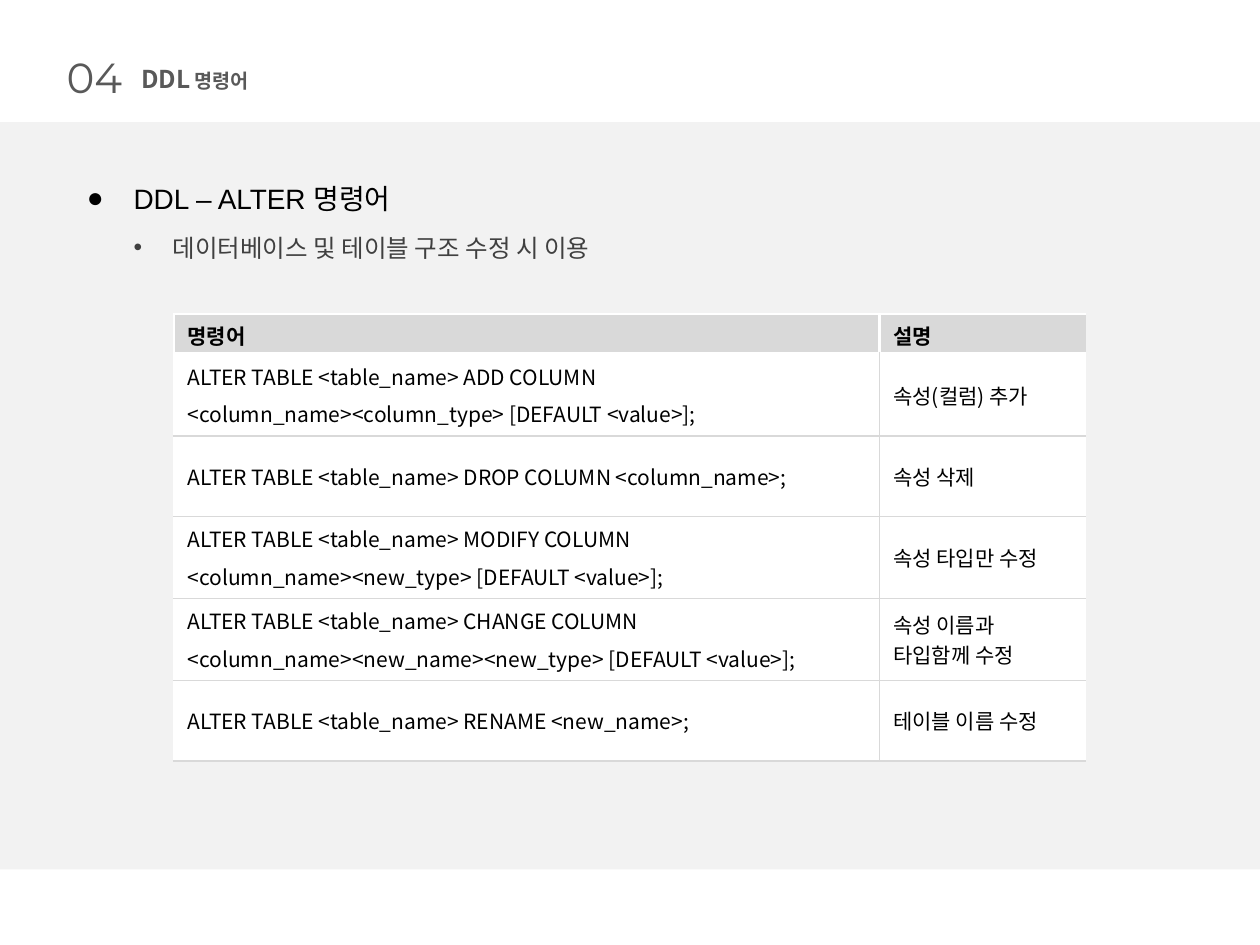
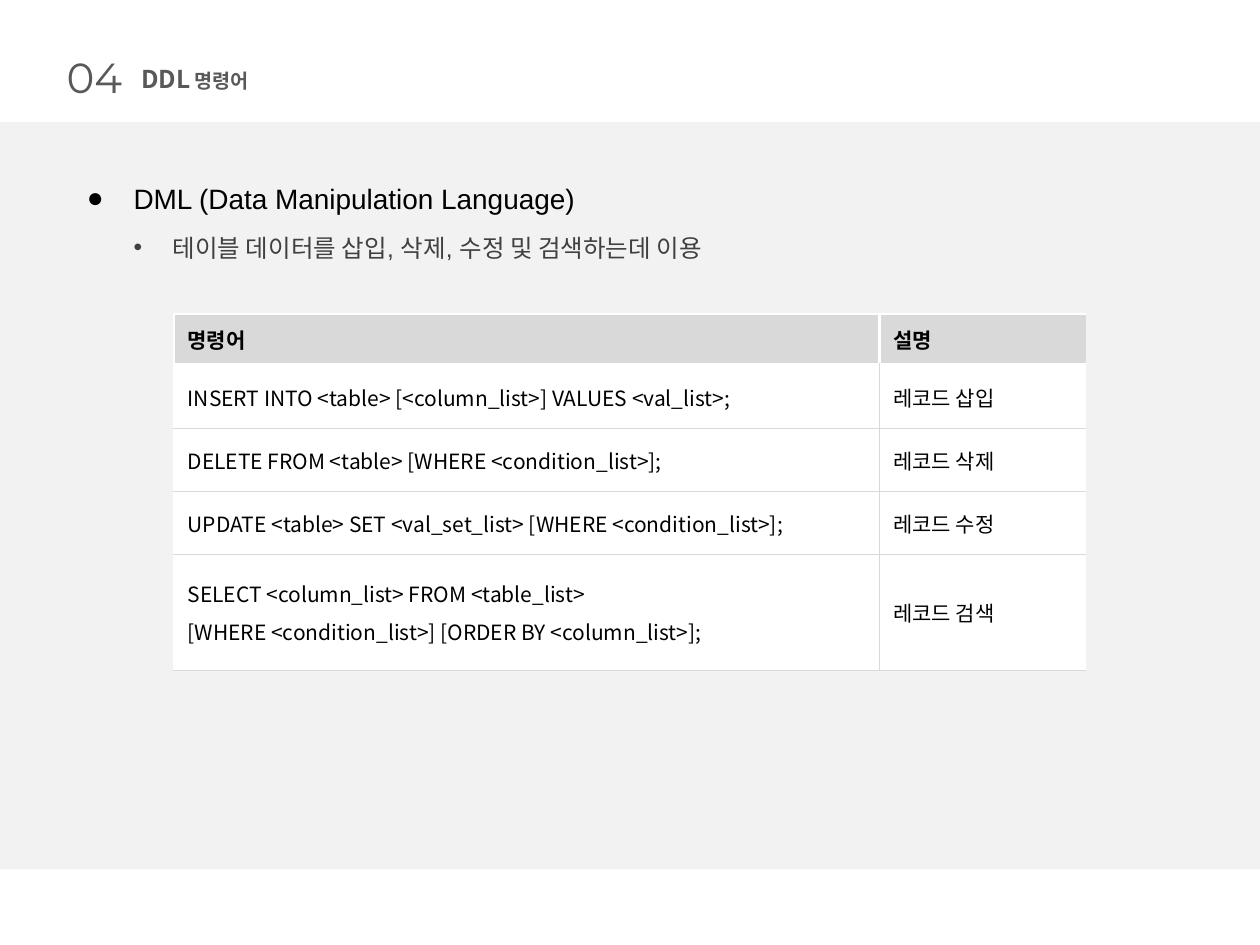
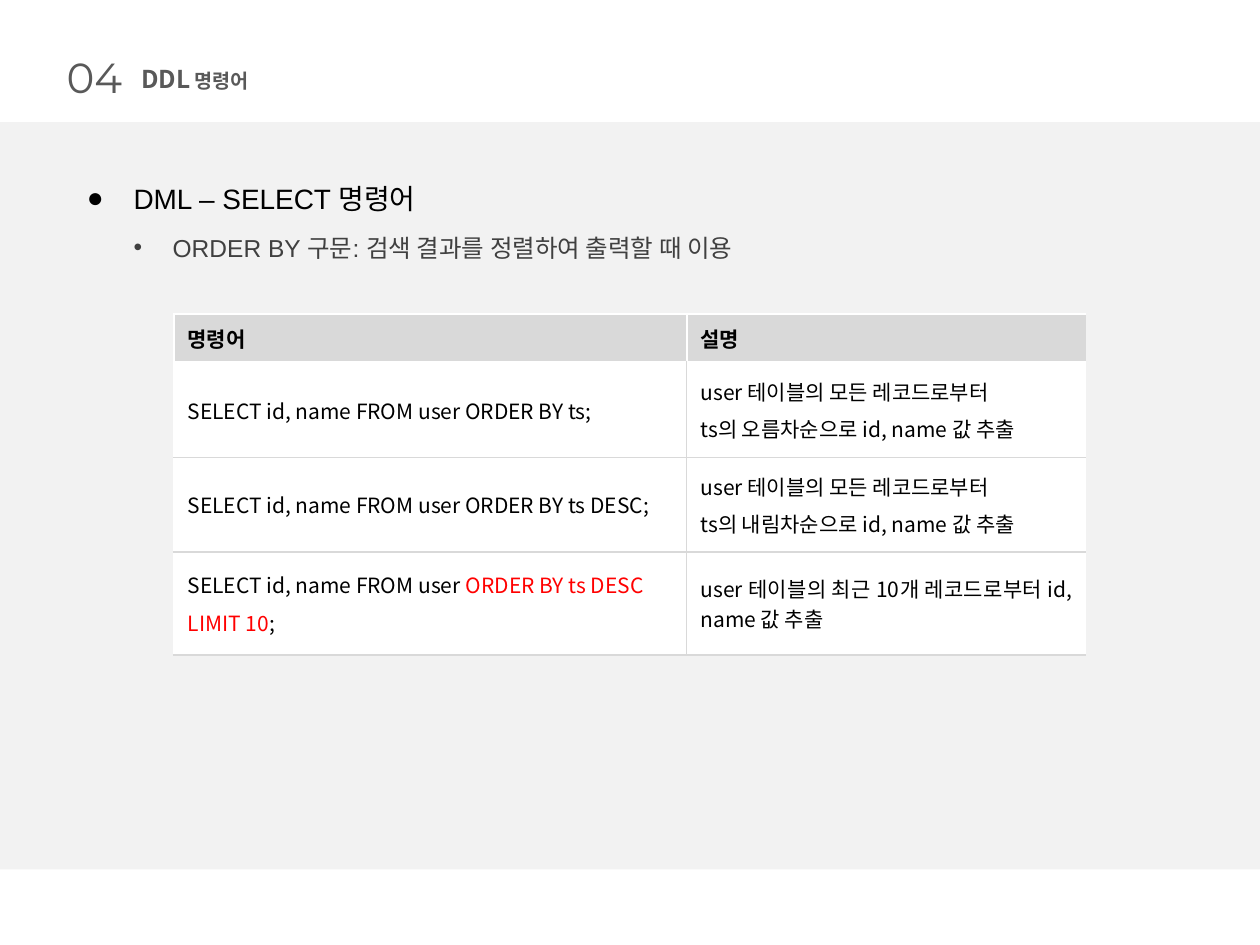
from lxml.etree import SubElement
from pptx import Presentation
from pptx.dml.color import RGBColor
from pptx.enum.shapes import MSO_SHAPE
from pptx.enum.text import MSO_ANCHOR, MSO_AUTO_SIZE, PP_ALIGN
from pptx.oxml.ns import qn
from pptx.util import Inches, Pt

# Shared look
WHITE = RGBColor(0xFF, 0xFF, 0xFF)
BLACK = RGBColor(0x00, 0x00, 0x00)
BAND = RGBColor(0xF2, 0xF2, 0xF2)
RULE = RGBColor(0xD9, 0xD9, 0xD9)
TITLE = RGBColor(0x59, 0x59, 0x59)
SUBTEXT = RGBColor(0x40, 0x40, 0x40)
RED = RGBColor(0xFF, 0x00, 0x00)
KOREAN = "Noto Sans CJK KR"
HEADER = ("명령어", "설명")
LEFT, JUSTIFY = PP_ALIGN.LEFT, PP_ALIGN.JUSTIFY

# Slide contents
ALTER_ROWS = [
    (["ALTER TABLE <table_name> ADD COLUMN",
      "<column_name><column_type> [DEFAULT <value>];"], ["속성(컬럼) 추가"]),
    (["ALTER TABLE <table_name> DROP COLUMN <column_name>;"], ["속성 삭제"]),
    (["ALTER TABLE <table_name> MODIFY COLUMN",
      "<column_name><new_type> [DEFAULT <value>];"], ["속성 타입만 수정"]),
    (["ALTER TABLE <table_name> CHANGE COLUMN",
      "<column_name><new_name><new_type> [DEFAULT <value>];"],
     ["속성 이름과 타입함께 수정"]),
    (["ALTER TABLE <table_name> RENAME <new_name>;"], ["테이블 이름 수정"]),
]
DML_ROWS = [
    (["INSERT INTO <table> [<column_list>] VALUES <val_list>;"], ["레코드 삽입"]),
    (["DELETE FROM <table> [WHERE <condition_list>];"], ["레코드 삭제"]),
    (["UPDATE <table> SET <val_set_list> [WHERE <condition_list>];"],
     ["레코드 수정"]),
    (["SELECT <column_list> FROM <table_list>",
      "[WHERE <condition_list>] [ORDER BY <column_list>];"], ["레코드 검색"]),
]
ORDER_BY_ROWS = [
    (["SELECT id, name FROM user ORDER BY ts;"],
     ["user 테이블의 모든 레코드로부터", "ts의 오름차순으로 id, name 값 추출"]),
    (["SELECT id, name FROM user ORDER BY ts DESC;"],
     ["user 테이블의 모든 레코드로부터", "ts의 내림차순으로 id, name 값 추출"]),
    ([[("SELECT id, name FROM user ", BLACK), ("ORDER BY ts DESC", RED)],
      [("LIMIT 10", RED), (";", BLACK)]],
     ["user 테이블의 최근 10개 레코드로부터 id, name 값 추출"]),
]


def add_run(p, text, size=12, color=BLACK, font=KOREAN, bold=False):
    r = p.add_run()
    r.text = text
    r.font.size = Pt(size)
    r.font.bold = bold
    r.font.name = font
    r.font.color.rgb = color
    SubElement(r.font._element, qn("a:ea"), typeface=KOREAN)
    return r


def place(sp, left, top, width, height):
    sp.left, sp.top = Inches(left), Inches(top)
    sp.width, sp.height = Inches(width), Inches(height)


def add_band(slide):
    """Put the grey content band on the slide's layout."""
    band = slide.shapes.add_shape(MSO_SHAPE.RECTANGLE, 0, Inches(0.97),
                                  Inches(10), Inches(5.93))
    band.shadow.inherit = False
    band.fill.solid()
    band.fill.fore_color.rgb = BAND
    band.line.fill.background()
    slide.slide_layout.shapes._spTree.insert(2, band._element)


def add_heading(slide):
    number = slide.shapes.add_textbox(0, 0, 0, 0)
    place(number, 0.43, 0.36, 0.65, 0.5)
    title = slide.shapes.title
    place(title, 1.02, 0.46, 1.25, 0.34)
    for sp in (number, title):
        tf = sp.text_frame
        tf.word_wrap = False
        tf.auto_size = MSO_AUTO_SIZE.SHAPE_TO_FIT_TEXT
        tf.vertical_anchor = MSO_ANCHOR.TOP
        tf.paragraphs[0].alignment = LEFT
    add_run(number.text_frame.paragraphs[0], "04", size=24, color=TITLE,
            font="Montserrat")
    r = add_run(title.text_frame.paragraphs[0], "DDL 명령어", size=14,
                color=TITLE, bold=True)
    r.font._element.set("cap", "small")


def set_bullet(p, char, margin, indent):
    pPr = p._p.get_or_add_pPr()
    pPr.set("marL", str(Inches(margin)))
    pPr.set("indent", str(Inches(indent)))
    SubElement(pPr, qn("a:buFont"), typeface="Arial")
    SubElement(pPr, qn("a:buChar"), char=char)


def add_topic(slide, topic, detail):
    body = slide.placeholders[1]
    place(body, 0.52, 1.39, 8.89, 0.75)
    tf = body.text_frame
    tf.auto_size = MSO_AUTO_SIZE.SHAPE_TO_FIT_TEXT
    levels = [(topic, 16, BLACK, 20, "●", 0.44, -0.37),
              (detail, 14, SUBTEXT, 6, "•", 0.75, -0.31)]
    for level, (text, size, color, before, char, margin, indent) in enumerate(levels):
        p = tf.add_paragraph() if level else tf.paragraphs[0]
        p.level = level
        p.space_before, p.space_after = Pt(before), Pt(4)
        set_bullet(p, char, margin, indent)
        add_run(p, text, size=size, color=color, font="Arial")


def set_borders(cell, **sides):
    """Each side is (colour, points), or None for no line."""
    tcPr = cell._tc.get_or_add_tcPr()
    for side in "LRTB":
        ln = SubElement(tcPr, qn("a:ln" + side))
        if sides[side] is None:
            SubElement(ln, qn("a:noFill"))
            continue
        color, width = sides[side]
        ln.set("w", str(Pt(width)))
        fill = SubElement(ln, qn("a:solidFill"))
        SubElement(fill, qn("a:srgbClr"), val=str(color))


def fill_cell(cell, lines, fill, align=JUSTIFY, bold=False):
    cell.fill.solid()
    cell.fill.fore_color.rgb = fill
    cell.vertical_anchor = MSO_ANCHOR.MIDDLE
    cell.margin_left = cell.margin_right = Inches(0.11)
    cell.margin_top = cell.margin_bottom = Inches(0.05)
    tf = cell.text_frame
    for i, line in enumerate(lines):
        p = tf.add_paragraph() if i else tf.paragraphs[0]
        p.alignment = align
        p.space_after = Pt(4)
        for text, color in [(line, BLACK)] if isinstance(line, str) else line:
            add_run(p, text, color=color, bold=bold)


def add_command_table(slide, rows, widths, heights, note_align=JUSTIFY):
    frame = slide.shapes.add_table(
        len(heights), len(widths), Inches(1.38), Inches(2.49),
        Inches(sum(widths)), Inches(sum(heights)))
    table = frame.table
    table.first_row = table.horz_banding = False
    for col, width in zip(table.columns, widths):
        col.width = Inches(width)
    for row, height in zip(table.rows, heights):
        row.height = Inches(height)

    thin, edge, thick = (RULE, 1), (WHITE, 1.41), (WHITE, 2.83)
    for c, label in enumerate(HEADER):
        cell = table.cell(0, c)
        set_borders(cell, L=edge, R=None if c else edge, T=edge, B=thick)
        fill_cell(cell, [label], RULE, bold=True)
    for i, row in enumerate(rows, 1):
        for c, lines in enumerate(row):
            cell = table.cell(i, c)
            set_borders(cell, L=thin if c else edge, R=None if c else thin,
                        T=thick if i == 1 else thin, B=thin)
            fill_cell(cell, lines, WHITE, align=note_align if c else JUSTIFY)


def add_command_slide(prs, topic, detail):
    slide = prs.slides.add_slide(prs.slide_layouts[1])
    add_topic(slide, topic, detail)
    add_heading(slide)
    return slide


def main():
    prs = Presentation()
    prs.slide_width, prs.slide_height = Inches(10), Inches(7.5)

    # ALTER
    slide = add_command_slide(prs, "DDL – ALTER 명령어",
                              "데이터베이스 및 테이블 구조 수정 시 이용")
    add_band(slide)
    add_command_table(slide, ALTER_ROWS, (5.6, 1.64),
                      (0.32, 0.65, 0.64, 0.65, 0.65, 0.64), note_align=LEFT)

    # DML overview
    slide = add_command_slide(prs, "DML (Data Manipulation Language)",
                              "테이블 데이터를 삽입, 삭제, 수정 및 검색하는데 이용")
    add_command_table(slide, DML_ROWS, (5.6, 1.64),
                      (0.41, 0.5, 0.5, 0.5, 0.92))

    # SELECT with ORDER BY
    slide = add_command_slide(prs, "DML – SELECT 명령어",
                              "ORDER BY 구문: 검색 결과를 정렬하여 출력할 때 이용")
    add_command_table(slide, ORDER_BY_ROWS, (4.07, 3.17),
                      (0.39, 0.75, 0.75, 0.82))

    prs.save("out.pptx")


if __name__ == "__main__":
    main()
